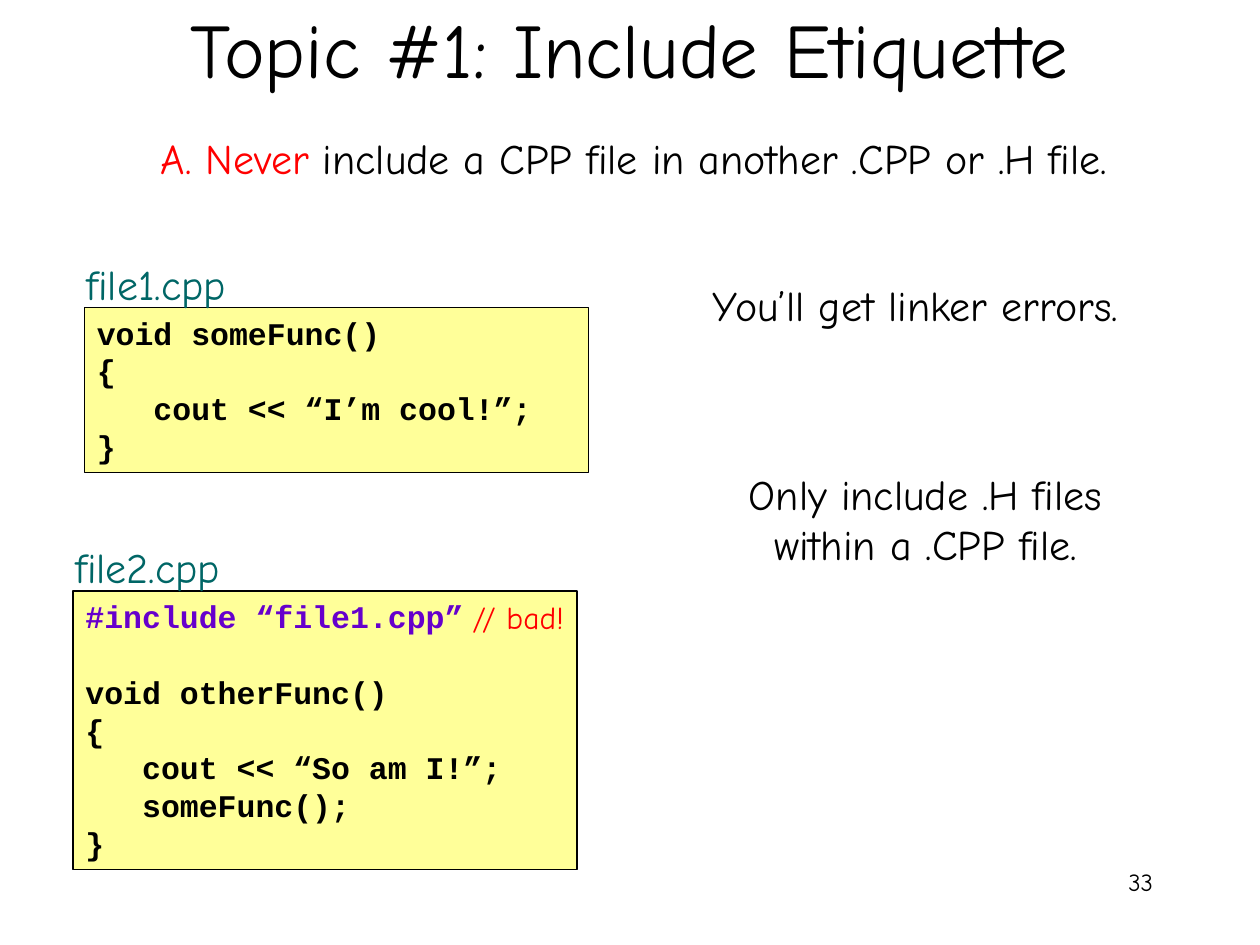
from pptx import Presentation
from pptx.dml.color import RGBColor
from pptx.enum.shapes import MSO_SHAPE
from pptx.enum.text import MSO_ANCHOR, PP_ALIGN
from pptx.util import Inches, Pt

BLACK = RGBColor(0x00, 0x00, 0x00)
RED = RGBColor(0xFF, 0x00, 0x00)
TEAL = RGBColor(0x00, 0x66, 0x66)
PURPLE = RGBColor(0x66, 0x00, 0xCC)
YELLOW = RGBColor(0xFF, 0xFF, 0x99)

CODE_LINE = Pt(21.6)


class SlideBuilder:
    text_font = "Comic Neue"
    code_font = "Courier New"

    def __init__(self, page):
        self.page = page

    def add_span(self, para, text, size, color, font=None, bold=False):
        span = para.add_run()
        span.text = text
        span.font.name = font or self.text_font
        span.font.size = Pt(size)
        span.font.bold = bold
        span.font.color.rgb = color

    def title(self, text, left, top, width, height):
        box = self.page.shapes.title
        box.left, box.top = Inches(left), Inches(top)
        box.width, box.height = Inches(width), Inches(height)
        box.text_frame.vertical_anchor = MSO_ANCHOR.MIDDLE
        para = box.text_frame.paragraphs[0]
        para.alignment = PP_ALIGN.CENTER
        self.add_span(para, text, 44, BLACK)

    def text(self, spans, left, top, width, height, size=24,
             align=PP_ALIGN.LEFT, wrap=True):
        box = self.page.shapes.add_textbox(
            Inches(left), Inches(top), Inches(width), Inches(height))
        box.text_frame.word_wrap = wrap
        para = box.text_frame.paragraphs[0]
        para.alignment = align
        for text, color in spans:
            self.add_span(para, text, size, color)

    def code_file(self, name, lines, left, top, height):
        """Draw a code box with its file name above; "" marks an empty line."""
        box = self.page.shapes.add_shape(
            MSO_SHAPE.RECTANGLE, Inches(left), Inches(top), Inches(4), Inches(height))
        box.shadow.inherit = False
        box.fill.solid()
        box.fill.fore_color.rgb = YELLOW
        box.line.color.rgb = BLACK
        box.line.width = Pt(0.75)
        frame = box.text_frame
        frame.word_wrap = True
        frame.vertical_anchor = MSO_ANCHOR.TOP
        para, gap = frame.paragraphs[0], 0
        for number, line in enumerate(lines):
            if not line:
                gap += CODE_LINE
                continue
            if number:
                para = frame.add_paragraph()
            para.alignment = PP_ALIGN.LEFT
            if gap:
                para.space_before = gap
                gap = 0
            color = PURPLE if line.startswith("#") else BLACK
            self.add_span(para, line, 18, color, self.code_font, bold=True)
        self.text([(name, TEAL)], left - 0.08, top - 0.44, 1.5, 0.5, wrap=False)


def main():
    deck = Presentation()
    deck.slide_width, deck.slide_height = Inches(10), Inches(7.5)
    slide = SlideBuilder(deck.slides.add_slide(deck.slide_layouts[5]))

    # Title and rule
    slide.title("Topic #1: Include Etiquette", 0.75, -0.25, 8.5, 1.25)
    slide.text([("A. Never ", RED),
                ("include a CPP file in another .CPP or .H file.", BLACK)],
               0.87, 1, 8.32, 0.5, align=PP_ALIGN.CENTER, wrap=False)

    # Source files
    slide.code_file("file1.cpp", [
        "void someFunc()",
        "{",
        "   cout << “I’m cool!”;",
        "}",
    ], 0.67, 2.44, 1.31)
    slide.code_file("file2.cpp", [
        "#include “file1.cpp”",
        "",
        "void otherFunc()",
        "{",
        "   cout << “So am I!”;",
        "   someFunc();",
        "}",
    ], 0.58, 4.69, 2.21)
    slide.text([("// bad!", RED)], 3.65, 4.7, 1.02, 0.4, size=18, wrap=False)

    # Explanations
    for note, left, top in [
        ("You’ll get linker errors.", 5.5, 2.17),
        ("Only include .H files within a .CPP file.", 5.58, 3.67),
    ]:
        slide.text([(note, BLACK)], left, top, 3.53, 0.9, align=PP_ALIGN.CENTER)

    # Page number
    slide.text([("33", BLACK)], 7.17, 6.83, 2.08, 0.5, size=14,
               align=PP_ALIGN.RIGHT)

    deck.save("out.pptx")


if __name__ == "__main__":
    main()
